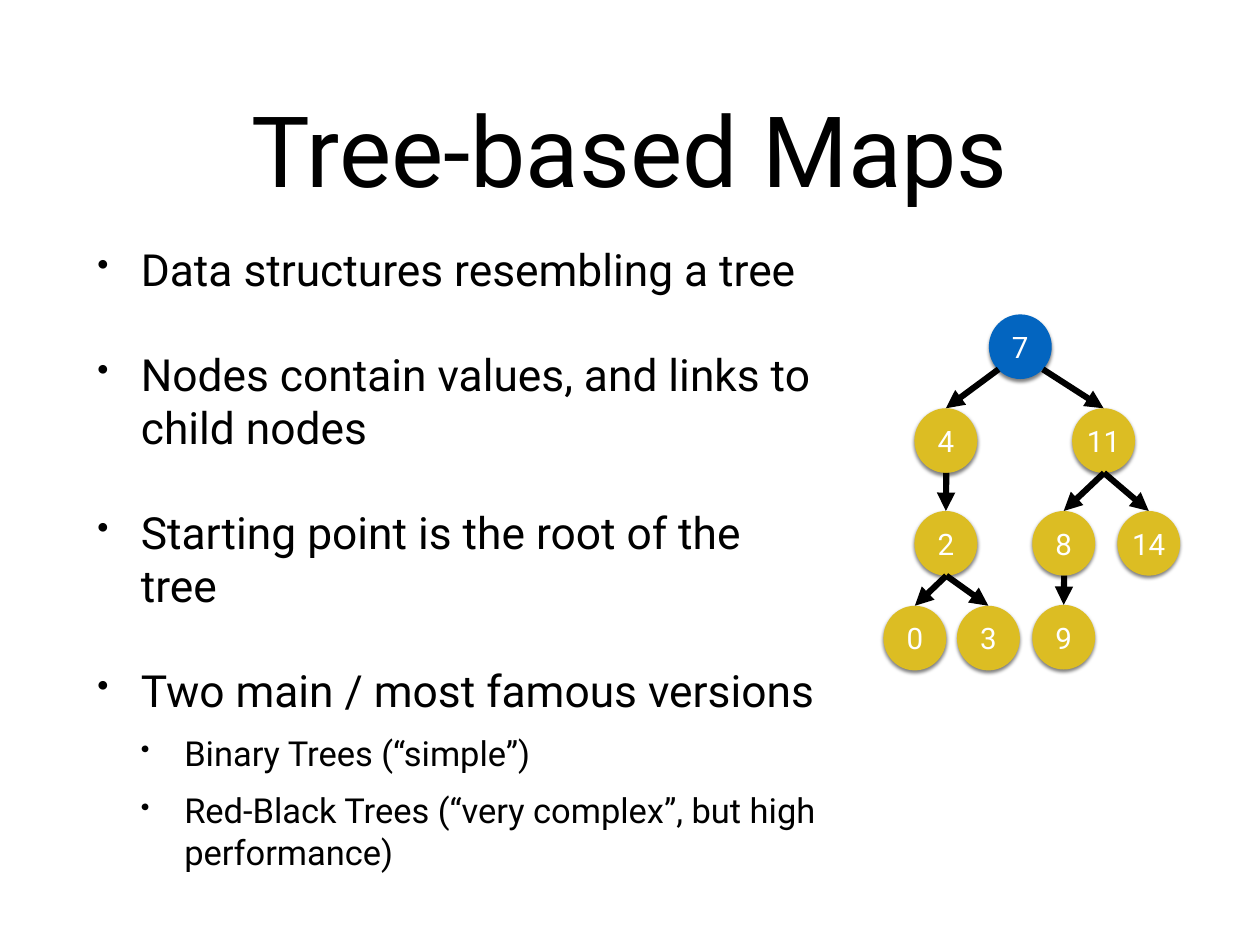
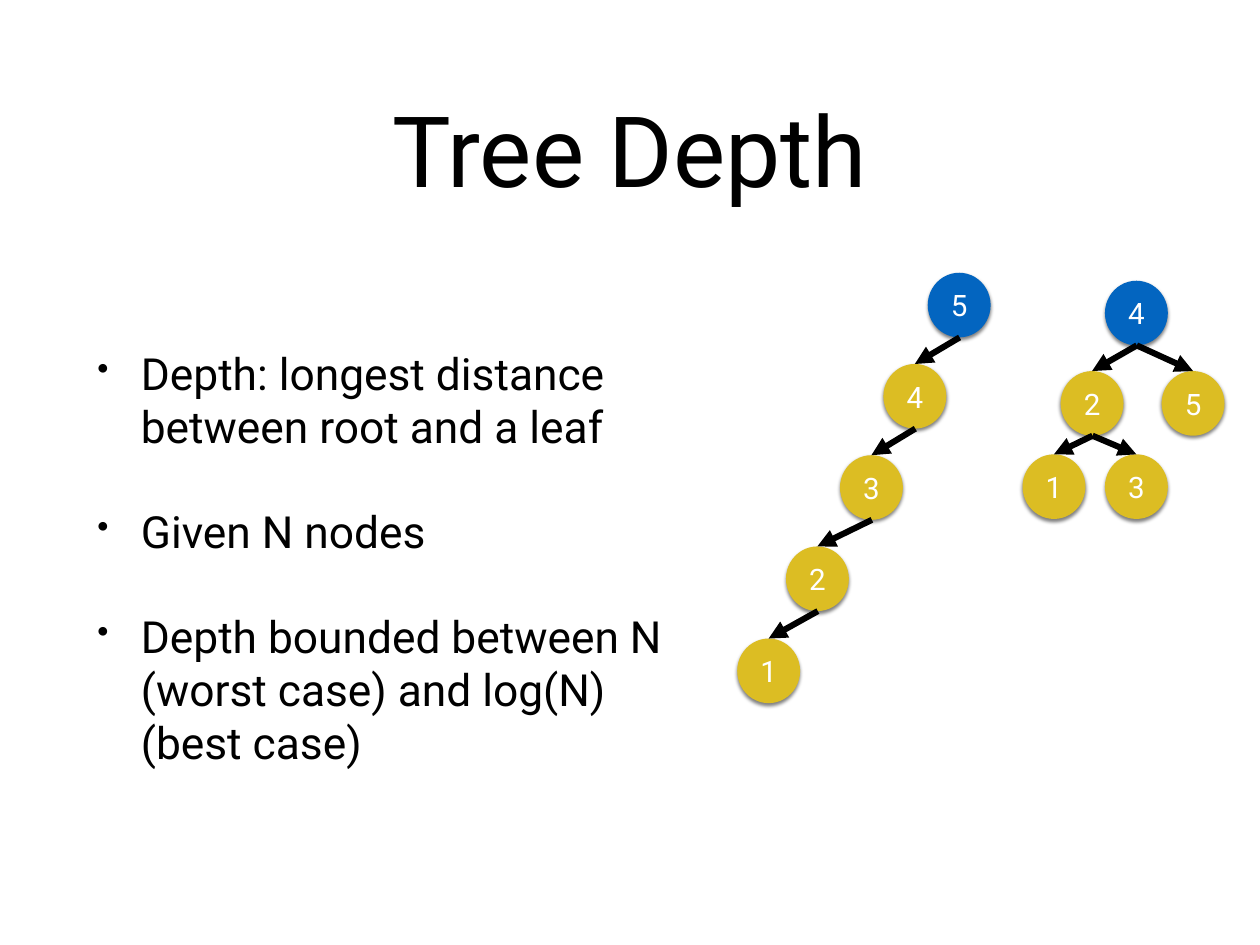
from lxml.etree import SubElement
from pptx import Presentation
from pptx.dml.color import RGBColor
from pptx.enum.shapes import MSO_CONNECTOR as Connector, MSO_SHAPE as Shape
from pptx.enum.text import MSO_ANCHOR as Anchor, PP_ALIGN as Align
from pptx.oxml.ns import qn
from pptx.util import Emu, Pt


def px(length):
    """Turn px, at 100 to the inch, into EMU."""
    return Emu(length * 9144)


def color(hex_value):
    """Turn a hex string into a colour."""
    return RGBColor.from_string(hex_value)


class TreeDeck:
    """Hold the deck's style and the current slide."""

    FONT = "Roboto"
    INK, PAPER, ROOT, NODE = "000000", "FFFFFF", "0365C0", "DCBD23"
    NODE_WIDTH, NODE_HEIGHT, NODE_CENTER = 71, 73, 36
    INSET, INDENT = 6, 49
    LEVELS = ((36, 42), (28, 13))

    def __init__(self, width, height):
        """Start an empty deck."""
        self.deck = Presentation()
        self.deck.slide_width, self.deck.slide_height = px(width), px(height)
        self.slide = None

    def add_slide(self, heading):
        """Start a slide with its centred title."""
        self.slide = self.deck.slides.add_slide(self.deck.slide_layouts[6])
        frame = self.text_area(104, 49, 1214, 236)
        self.set_text(frame.paragraphs[0], heading, 80, self.INK, Align.CENTER)

    def prepare(self, frame, wrap):
        """Set the insets, anchor and wrapping of a text frame."""
        frame.margin_left = frame.margin_right = px(self.INSET)
        frame.margin_top = frame.margin_bottom = px(self.INSET)
        frame.vertical_anchor = Anchor.MIDDLE
        frame.word_wrap = wrap
        return frame

    def text_area(self, left, top, width, height):
        """Add a wrapping text box and return its frame."""
        box = self.slide.shapes.add_textbox(px(left), px(top), px(width), px(height))
        return self.prepare(box.text_frame, True)

    def set_text(self, paragraph, text, size, ink, align):
        """Fill a paragraph with styled text."""
        paragraph.text = text
        paragraph.alignment = align
        paragraph.font.name = self.FONT
        paragraph.font.size = Pt(size)
        paragraph.font.color.rgb = color(ink)

    def bullets(self, width, points):
        """Add the body list from (level, text) pairs."""
        frame = self.text_area(104, 285, width, 688)
        for number, (level, text) in enumerate(points):
            paragraph = frame.add_paragraph() if number else frame.paragraphs[0]
            size, gap = self.LEVELS[level]
            self.set_text(paragraph, text, size, self.INK, Align.LEFT)
            paragraph.level = level
            paragraph.space_before = Pt(gap)
            properties = paragraph._p.get_or_add_pPr()
            properties.set("marL", str(px(self.INDENT * (level + 1))))
            properties.set("indent", str(px(-self.INDENT)))
            marks = [SubElement(properties, qn("a:buSzPct"), val="75000"),
                     SubElement(properties, qn("a:buChar"), char="•")]
            defaults = properties.find(qn("a:defRPr"))
            if defaults is not None:
                for mark in marks:
                    defaults.addprevious(mark)

    def node(self, value, left, top, fill):
        """Add a round tree node with a soft shadow."""
        circle = self.slide.shapes.add_shape(
            Shape.OVAL, px(left), px(top), px(self.NODE_WIDTH), px(self.NODE_HEIGHT))
        circle.fill.solid()
        circle.fill.fore_color.rgb = color(fill)
        circle.line.fill.background()
        circle.shadow.inherit = False
        effects = circle._element.spPr.find(qn("a:effectLst"))
        shadow = SubElement(effects, qn("a:outerShdw"), blurRad=str(Pt(3)),
                            dist=str(Pt(2)), dir="5400000", rotWithShape="0")
        tint = SubElement(shadow, qn("a:srgbClr"), val=self.INK)
        SubElement(tint, qn("a:alpha"), val="50000")
        frame = self.prepare(circle.text_frame, False)
        self.set_text(frame.paragraphs[0], str(value), 24, self.PAPER, Align.CENTER)
        return circle

    def arrow(self, start, end, child):
        """Add an arrow that ends at the top of a child node."""
        link = self.slide.shapes.add_connector(
            Connector.STRAIGHT, *(px(length) for length in start + end))
        link.end_connect(child, 0)
        link.line.color.rgb = color(self.INK)
        link.line.width = Pt(5)
        outline = link._element.spPr.find(qn("a:ln"))
        SubElement(outline, qn("a:tailEnd"), type="triangle")
        SubElement(link._element.spPr, qn("a:effectLst"))

    def tree(self, places, children, root_spread=0, root_lift=0):
        """Draw nodes, root first, and the arrows to their children."""
        root = next(iter(places))
        circles = {value: self.node(value, *place, self.ROOT if value == root else self.NODE)
                   for value, place in places.items()}
        for parent, branch in children.items():
            left, top = places[parent]
            for child in branch:
                child_left, child_top = places[child]
                start_x, start_y = left + self.NODE_CENTER, top + self.NODE_HEIGHT
                if parent == root:
                    start_x += root_spread if child_left > left else -root_spread
                    start_y -= root_lift
                self.arrow((start_x, start_y), (child_left + self.NODE_CENTER, child_top),
                           circles[child])


def main():
    """Build and save both slides."""
    show = TreeDeck(1422, 1067)

    show.add_slide("Tree-based Maps")
    show.bullets(834, [
        (0, "Data structures resembling a tree"),
        (0, "Nodes contain values, and links to child nodes"),
        (0, "Starting point is the root of the tree"),
        (0, "Two main / most famous versions"),
        (1, "Binary Trees (“simple”)"),
        (1, "Red-Black Trees (“very complex”, but high performance)"),
    ])
    show.tree(
        {7: (1116, 355), 4: (1032, 461), 11: (1210, 461), 2: (1032, 577), 8: (1165, 577),
         14: (1261, 577), 0: (997, 684), 3: (1080, 684), 9: (1165, 683)},
        {7: (4, 11), 4: (2,), 11: (8, 14), 2: (0, 3), 8: (9,)},
        root_spread=25, root_lift=11)

    show.add_slide("Tree Depth")
    show.bullets(694, [
        (0, "Depth: longest distance between root and a leaf"),
        (0, "Given N nodes"),
        (0, "Depth bounded between N (worst case) and log(N) (best case)"),
    ])
    show.tree(
        {4: (1247, 317), 2: (1197, 419), 5: (1311, 419), 1: (1154, 513), 3: (1247, 513)},
        {4: (2, 5), 2: (1, 3)})
    show.tree(
        {5: (1047, 308), 4: (997, 411), 3: (948, 514), 2: (887, 617), 1: (832, 721)},
        {5: (4,), 4: (3,), 3: (2,), 2: (1,)})

    show.deck.save("out.pptx")


if __name__ == "__main__":
    main()
